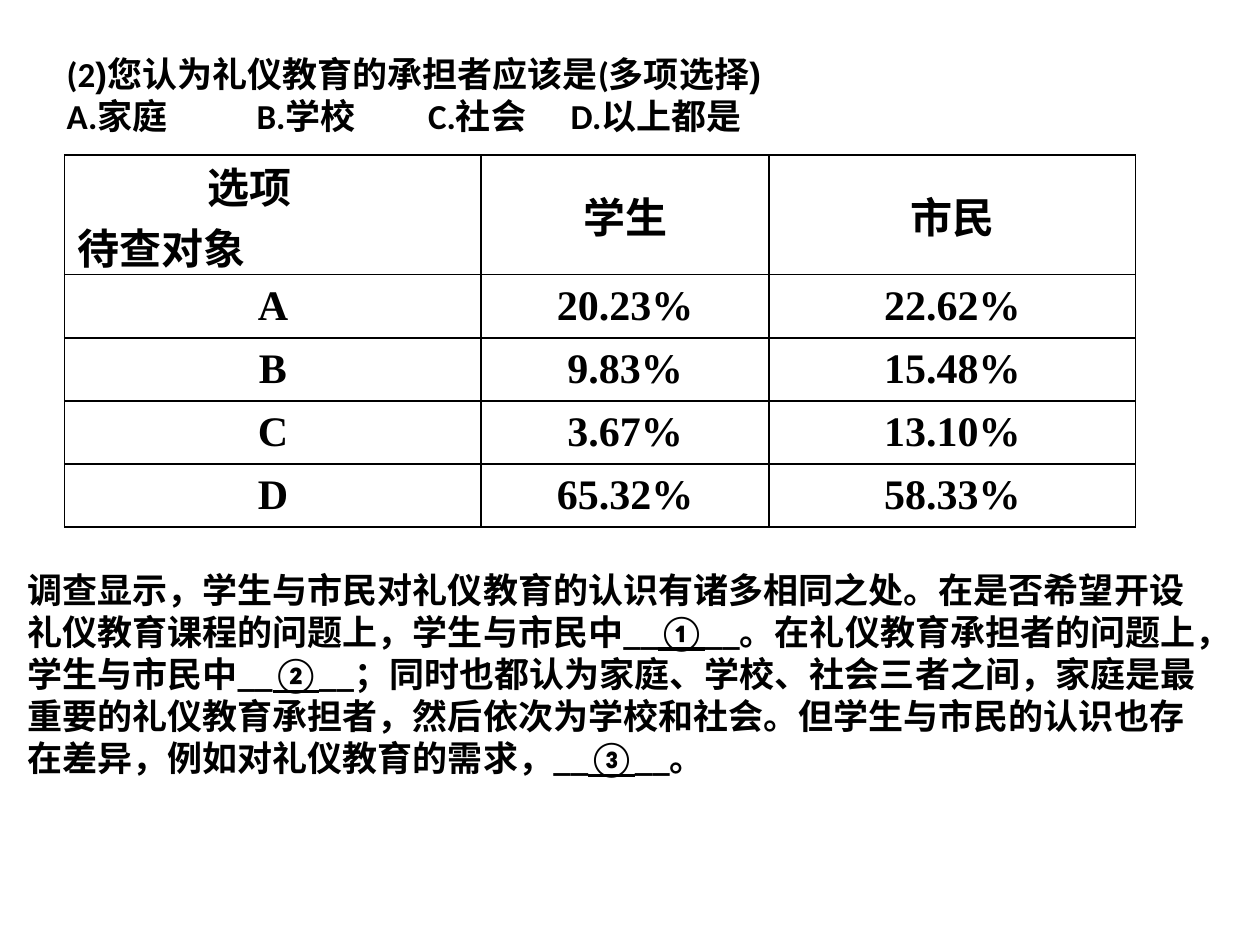
from lxml import etree
from pptx import Presentation
from pptx.dml.color import RGBColor
from pptx.enum import text as t
from pptx.oxml import ns
from pptx.util import Pt

BLACK = RGBColor(0, 0, 0)
WHITE = RGBColor(255, 255, 255)


def style(par, size, face):
    font = par.font
    font.size, font.name, font.bold = Pt(size), face, True
    font.color.rgb = BLACK


def add_box(left, top, width, height):
    box = slide.shapes.add_textbox(Pt(left), Pt(top), Pt(width), Pt(height))
    box.text_frame.word_wrap = True
    box.text_frame.auto_size = t.MSO_AUTO_SIZE.SHAPE_TO_FIT_TEXT
    return box.text_frame


deck = Presentation()
deck.slide_width, deck.slide_height = Pt(720), Pt(540)
slide = deck.slides.add_slide(deck.slide_layouts[6])

frame = add_box(31, 26.4, 674.5, 55.5)
ask = frame.paragraphs[0]
style(ask, 20, "Calibri")
for words in ("(2", ")", "您认为礼仪教育的承担者应该是(多项选择", ")"):
    run = ask.add_run()
    run.text = words
    if words == ")":
        run.font.name = "Arial"

picks = frame.add_paragraph()
tabs = etree.SubElement(picks._p.get_or_add_pPr(), ns.qn("a:tabLst"))
for stop in (108.5, 206.5, 288):
    etree.SubElement(tabs, ns.qn("a:tab"), pos=str(Pt(stop)), algn="l")
style(picks, 20, "Calibri")
picks.add_run().text = "A.家庭\tB.学校\tC.社会\tD.以上都是"

rows = [
    ("选项\n待查对象", "学生", "市民"),
    ("A", "20.23%", "22.62%"),
    ("B", "9.83%", "15.48%"),
    ("C", "3.67%", "13.10%"),
    ("D", "65.32%", "58.33%"),
]
wide = (238, 164.5, 209.5)
high = (68.5, 36, 36, 36, 36)
grid = slide.shapes.add_table(
    len(rows), len(wide), Pt(37), Pt(88.5), Pt(sum(wide)), Pt(sum(high))
).table
for col, size in zip(grid.columns, wide):
    col.width = Pt(size)
for row, size, words in zip(grid.rows, high, rows):
    row.height = Pt(size)
    for cell, word in zip(row.cells, words):
        cell.text = word
        cell.vertical_anchor = t.MSO_ANCHOR.MIDDLE
        for par in cell.text_frame.paragraphs:
            par.alignment = t.PP_ALIGN.CENTER
            style(par, 24, "Times New Roman")
        props = cell._tc.get_or_add_tcPr()
        for side in ("a:lnL", "a:lnR", "a:lnT", "a:lnB"):
            line = etree.SubElement(props, ns.qn(side), w=str(Pt(1)))
            fill = etree.SubElement(line, ns.qn("a:solidFill"))
            etree.SubElement(fill, ns.qn("a:srgbClr"), val=str(BLACK))
        cell.fill.solid()
        cell.fill.fore_color.rgb = WHITE

corner = grid.cell(0, 0)
corner.margin_top = Pt(0)
head, foot = corner.text_frame.paragraphs
head.alignment = foot.alignment = t.PP_ALIGN.LEFT
head._p.get_or_add_pPr().set("marL", str(Pt(74.5)))

note = add_box(8.5, 321.4, 686, 128).paragraphs[0]
style(note, 20, "Calibri")
for words in (
    "调查显示，学生与市民对礼仪教育的认识有诸多相同之处。在是否希望开设礼仪教育课程的问题上，学生与市民中__",
    "①",
    "__。在礼仪教育承担者的问题上，学生与市民中__",
    "②",
    "__；同时也都认为家庭、学校、社会三者之间，家庭是最重要的礼仪教育承担者，然后依次为学校和社会。"
    "但学生与市民的认识也存在差异，例如对礼仪教育的需求，__",
    "③",
    "__。",
):
    run = note.add_run()
    run.text = words
    if words in "①②③":
        run.font.underline = True

deck.save("out.pptx")
